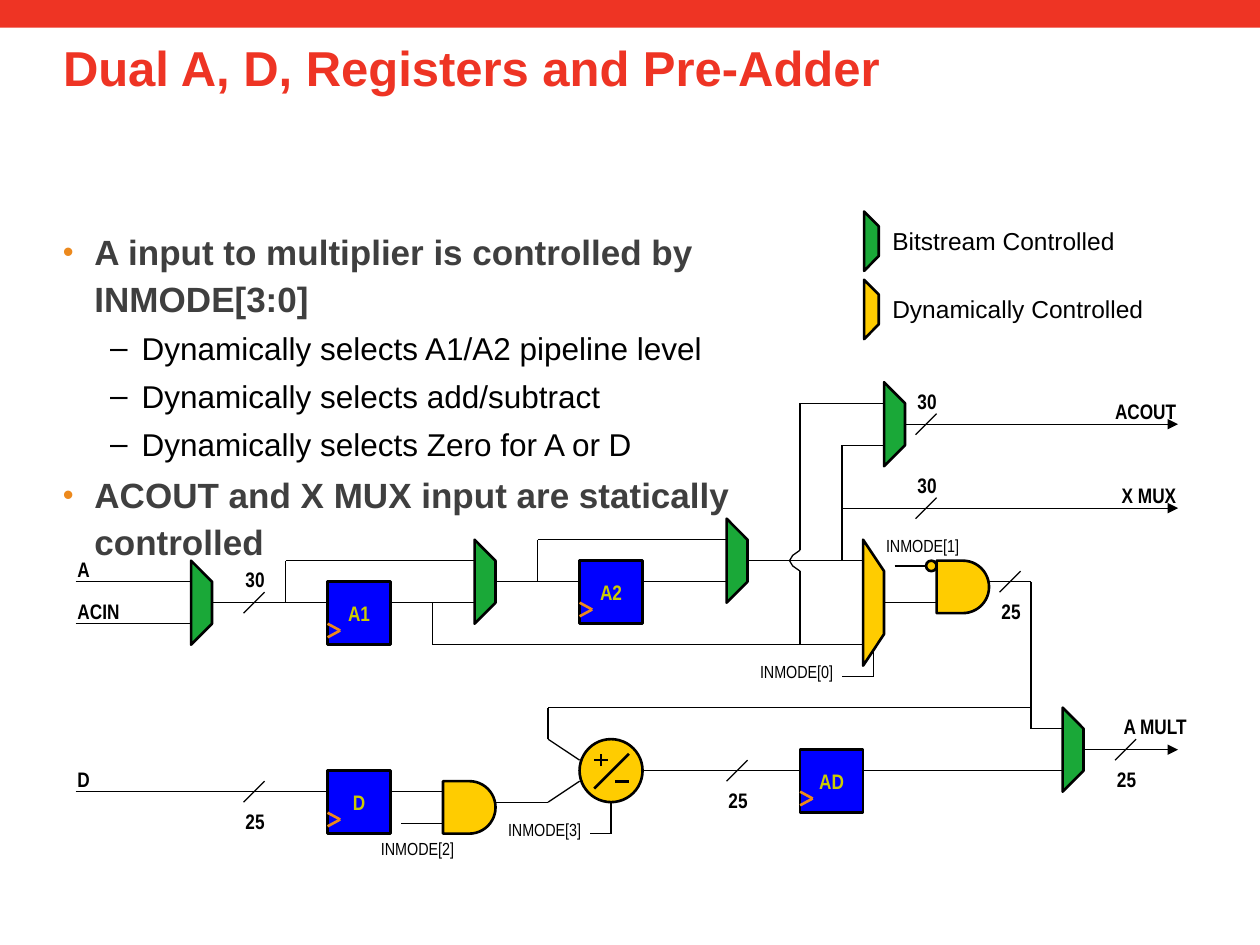
from itertools import pairwise

from lxml.etree import SubElement
from pptx import Presentation
from pptx.dml.color import RGBColor
from pptx.enum.shapes import MSO_CONNECTOR, MSO_SHAPE
from pptx.enum.text import MSO_ANCHOR, PP_ALIGN
from pptx.oxml.ns import qn
from pptx.util import Pt

RED, ORANGE, BLACK, GREY = "EE3424", "EC891D", "000000", "3F3F3F"
GREEN, YELLOW, BLUE, OLIVE = "1AA838", "FFCC00", "0000FF", "CCCC00"

# The circuit lies on a grid of 6 points; (0, 0) is left of the A input.
UNIT, LEFT, TOP = 6, 43.2, 320.4

TITLE = "Dual A, D, Registers and Pre-Adder"
BULLETS = [
    (0, "A input to multiplier is controlled by INMODE[3:0]"),
    (1, "Dynamically selects A1/A2 pipeline level"),
    (1, "Dynamically selects add/subtract"),
    (1, "Dynamically selects Zero for A or D"),
    (0, "ACOUT and X MUX input are statically controlled"),
]
# level: bullet, bullet colour, bullet size %, margin, size, colour, bold
LEVELS = [
    ("•", ORANGE, 88, 18, 20, GREY, True),
    ("–", BLACK, 100, 45, 18, BLACK, False),
]
LEGEND = [("Bitstream Controlled", -33.25, GREEN),
          ("Dynamically Controlled", -26.75, YELLOW)]
REGISTERS = [("A1", 24, 2), ("A2", 48, 0), ("D", 24, 20), ("AD", 69, 18)]
MUXES = [(11, 0, 8, GREEN), (38, -2, 8, GREEN), (62, -4, 8, GREEN),
         (77, -17, 8, GREEN), (94, 14, 8, GREEN), (75, -2, 12, YELLOW)]
WIRES = [
    [(0, 2), (11, 2)],
    [(0, 6), (11, 6)],
    [(13, 4), (24, 4)],
    [(20, 4), (20, 0), (38, 0)],
    [(30, 4), (38, 4)],
    [(34, 4), (34, 8), (75, 8)],
    [(40, 2), (48, 2)],
    [(44, 2), (44, -2), (62, -2)],
    [(54, 2), (62, 2)],
    [(64, 0), (75, 0)],
    [(69, 8), (69, 1)],
    [(69, -1), (69, -15), (77, -15)],
    [(73, 0), (73, -11), (77, -11)],
    [(77, 4), (82, 4)],
    [(78, 0.5), (81, 0.5)],
    [(87, 2), (91, 2), (91, 16), (94, 16)],
    [(91, 14), (45, 14), (45, 17), (48, 19)],
    [(0, 22), (24, 22)],
    [(30, 22), (35, 22)],
    [(31, 25), (35, 25)],
    [(40, 23), (45, 23), (48, 21)],
    [(49, 26), (51, 26), (51, 23)],
    [(54, 20), (69, 20)],
    [(75, 20), (94, 20)],
    [(73, 11), (76, 11), (76, 8.4)],
]
HOP = [(69, 1), (68.3, 0.5), (68, 0), (68.3, -0.5), (69, -1)]
OUTPUTS = [((79, -13), (105, -13)), ((73, -5), (105, -5)),
           ((96, 18), (105, 18))]
# bus width, lower left end of the slash, label offset
BUSES = [("30", 16, 5, -5), ("30", 80, -4, -5), ("30", 80, -12, -5),
         ("25", 88, 3, 0), ("25", 99, 19, 0), ("25", 16, 23, 0),
         ("25", 62, 21, 0)]
INPUT_LABELS = [("A", -1, -1), ("ACIN", -1, 3), ("D", -1, 19)]
OUTPUT_LABELS = [("ACOUT", 106, -16), ("X MUX", 106, -8), ("A MULT", 107, 14)]
MODE_LABELS = [("INMODE[0]", 64, 9), ("INMODE[1]", 76, -3),
               ("INMODE[2]", 27.9, 25.8), ("INMODE[3]", 40, 24)]
GATES = [(35, 21), (82, 0)]
ADDER_MARKS = [[(51.4, 21), (52.7, 21)], [(49.4, 21.7), (52.7, 18.4)],
               [(49.4, 19), (50.7, 19)], [(50.05, 19.6), (50.05, 18.4)]]

prs = Presentation()
prs.slide_width, prs.slide_height = Pt(720), Pt(540)
s = prs.slides.add_slide(prs.slide_layouts[5])


def rgb(color):
    return RGBColor.from_string(color)


def at(x, y):
    """Turn a grid point into a place on the slide."""
    return Pt(LEFT + UNIT * x), Pt(TOP + UNIT * y)


def paint(sp, fill, line=BLACK, width=1.5):
    sp.shadow.inherit = False
    if fill:
        sp.fill.solid()
        sp.fill.fore_color.rgb = rgb(fill)
    else:
        sp.fill.background()
    if line:
        sp.line.color.rgb = rgb(line)
        sp.line.width = Pt(width)
    else:
        sp.line.fill.background()


def write(p, text, size, color, bold=False, font="Arial"):
    r = p.add_run()
    r.text = text
    r.font.name, r.font.size, r.font.bold = font, Pt(size), bold
    r.font.color.rgb = rgb(color)


def wire(points, color=BLACK, width=0.75, arrow=False):
    for start, end in pairwise(points):
        c = s.shapes.add_connector(MSO_CONNECTOR.STRAIGHT,
                                   *at(*start), *at(*end))
        c.line.color.rgb = rgb(color)
        c.line.width = Pt(width)
        if arrow:
            SubElement(c.line._get_or_add_ln(), qn("a:tailEnd"),
                       type="triangle")
        SubElement(c._element.spPr, qn("a:effectLst"))


def outline(points, fill, width=1.5, close=True):
    first, *rest = [at(*point) for point in points]
    builder = s.shapes.build_freeform(*first)
    builder.add_line_segments(rest, close=close)
    paint(builder.convert_to_shape(), fill, width=width)


def mux(x, y, h, color, w=2):
    slant = h / 4
    outline([(x, y + h), (x + w, y + h - slant), (x + w, y + slant), (x, y)],
            color)


def block(kind, x, y, size, fill):
    sp = s.shapes.add_shape(kind, *at(x, y), Pt(UNIT * size), Pt(UNIT * size))
    paint(sp, fill)
    return sp


def label(text, x, y, w, size=12, bold=True, font="Arial Narrow",
          align=PP_ALIGN.LEFT):
    tf = s.shapes.add_textbox(*at(x, y), Pt(UNIT * w), Pt(20)).text_frame
    tf.word_wrap = True
    tf.paragraphs[0].alignment = align
    write(tf.paragraphs[0], text, size, BLACK, bold, font)


def register(name, x, y):
    sp = block(MSO_SHAPE.RECTANGLE, x, y, 6, BLUE)
    tf = sp.text_frame
    tf.word_wrap = False
    tf.vertical_anchor = MSO_ANCHOR.MIDDLE
    p = tf.paragraphs[0]
    p.alignment = PP_ALIGN.CENTER
    write(p, name, 12, OLIVE, True, "Arial Narrow")
    wire([(x, y + 5.3), (x + 1.2, y + 4.65), (x, y + 4)], ORANGE, 1.5)


def add_bullet(p, level):
    char, bullet_color, percent, margin, size, color, bold = LEVELS[level]
    p.level = level
    p.line_spacing = 1.1
    p.space_before = Pt(size * 0.2)
    pPr = p._p.get_or_add_pPr()
    pPr.set("marL", str(Pt(margin)))
    pPr.set("indent", str(-Pt(18)))
    SubElement(SubElement(pPr, qn("a:buClr")), qn("a:srgbClr"),
               val=bullet_color)
    SubElement(pPr, qn("a:buSzPct"), val=str(percent * 1000))
    SubElement(pPr, qn("a:buFont"), typeface="Arial")
    SubElement(pPr, qn("a:buChar"), char=char)
    return size, color, bold


bar = s.shapes.add_shape(MSO_SHAPE.RECTANGLE, 0, 0, prs.slide_width, Pt(15.8))
paint(bar, RED, line=None)

title = s.shapes.title
title.left, title.top, title.width, title.height = map(Pt, (36, 19.4, 503, 52.6))
body = s.shapes.add_textbox(Pt(36), Pt(126), Pt(410), Pt(171))
for sp in (title, body):
    sp.text_frame.word_wrap = True
    sp.text_frame.margin_left = 0
    sp.text_frame.vertical_anchor = MSO_ANCHOR.TOP
p = title.text_frame.paragraphs[0]
p.alignment = PP_ALIGN.LEFT
p.line_spacing = 0.98
write(p, TITLE, 28, RED, True)
for i, (level, text) in enumerate(BULLETS):
    tf = body.text_frame
    p = tf.add_paragraph() if i else tf.paragraphs[0]
    write(p, text, *add_bullet(p, level))

for points in WIRES:
    wire(points)
outline(HOP, None, 0.75, close=False)
for points in OUTPUTS:
    wire(points, arrow=True)
for name, x, y in REGISTERS:
    register(name, x, y)
for x, y, h, color in MUXES:
    mux(x, y, h, color)
for x, y in GATES:
    block(MSO_SHAPE.FLOWCHART_DELAY, x, y, 5, YELLOW)
block(MSO_SHAPE.OVAL, 81, 0, 1, YELLOW)
block(MSO_SHAPE.OVAL, 48, 17, 6, YELLOW)
for points in ADDER_MARKS:
    wire(points, width=1.5)

for text, x, y, offset in BUSES:
    wire([(x, y), (x + 2, y - 2)])
    label(text, x - 1, y + offset, 5)
for text, x, y in INPUT_LABELS:
    label(text, x, y, 8)
for text, right, y in OUTPUT_LABELS:
    label(text, right - 12, y, 12, align=PP_ALIGN.RIGHT)
for text, x, y in MODE_LABELS:
    label(text, x, y, 10, size=10, bold=False)
for text, y, color in LEGEND:
    mux(75.1, y, 5.65, color, w=1.4)
    label(text, 76.6, y + 0.75, 30, size=14, bold=False, font="Arial")

prs.save("out.pptx")
